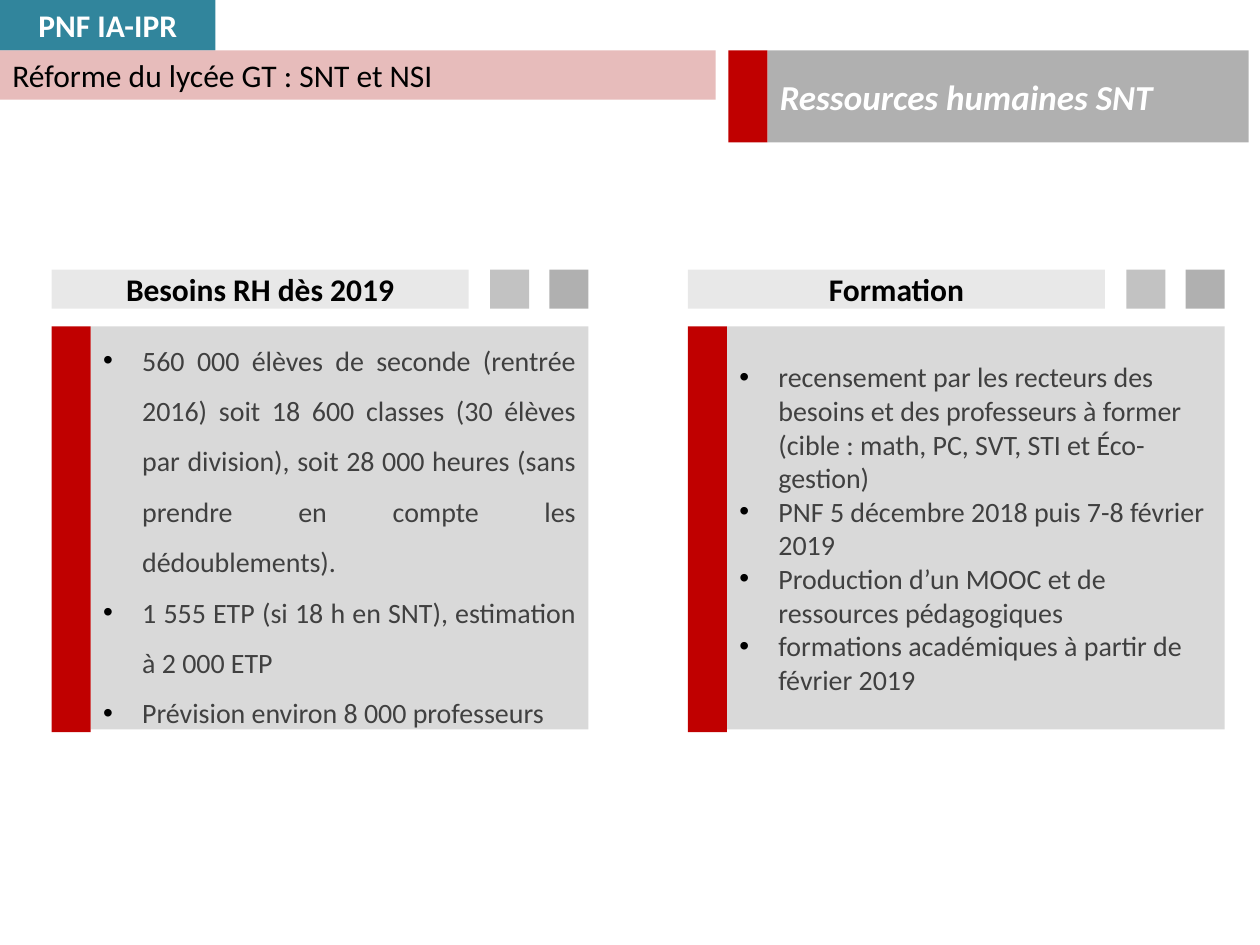
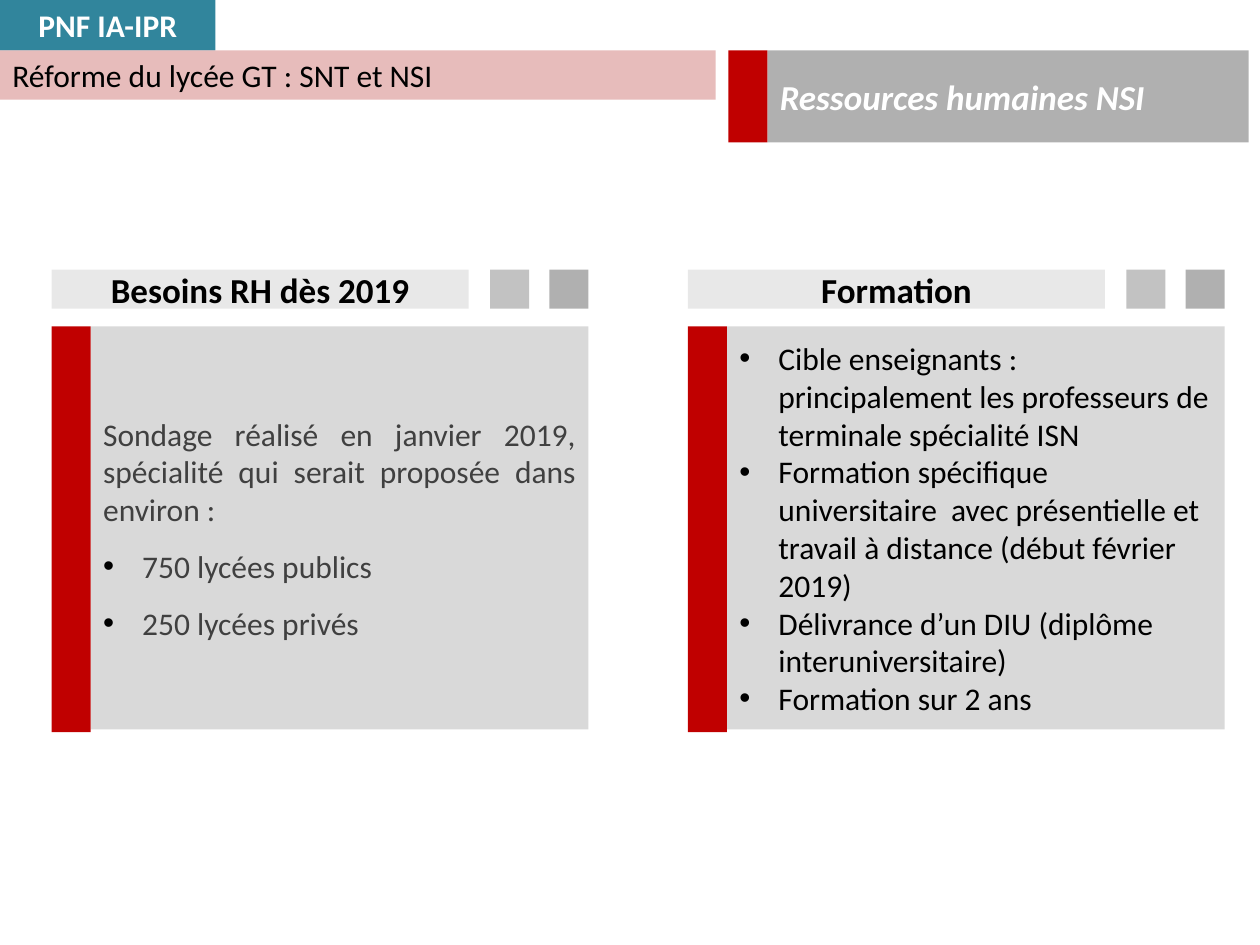
from lxml import etree
from pptx import Presentation
from pptx import util as u
from pptx.dml.color import RGBColor
from pptx.enum import shapes, text
from pptx.oxml import ns

FONT = "Calibri"
TEAL, PINK, RED = "31859C", "D99694", "C00000"
BLACK, WHITE, DARK, PANEL = "000000", "FFFFFF", "404040", "D9D9D9"
LEFT, CENTER, JUSTIFY = (text.PP_ALIGN.LEFT, text.PP_ALIGN.CENTER,
                         text.PP_ALIGN.JUSTIFY)

EVENT = "PNF IA-IPR"
SUBJECT = "Réforme du lycée GT : SNT et NSI"
NEEDS, TRAINING = "Besoins RH dès 2019", "Formation"

SLIDES = [
    {"title": "Ressources humaines SNT", "heading_size": 18, "columns": [
        {"heading": NEEDS, "size": 16, "color": DARK,
         "align": JUSTIFY, "spacing": 1.5, "bullets": [
             "560 000 élèves de seconde (rentrée 2016) soit 18 600 classes "
             "(30 élèves par division), soit 28 000 heures (sans prendre en "
             "compte les dédoublements).",
             "1 555 ETP (si 18 h en SNT), estimation à 2 000 ETP",
             "Prévision environ 8 000 professeurs"]},
        {"heading": TRAINING, "size": 16, "color": DARK, "bullets": [
            "recensement par les recteurs des besoins et des professeurs à "
            "former (cible : math, PC, SVT, STI et Éco-gestion)",
            "PNF 5 décembre 2018 puis 7-8 février 2019",
            "Production d’un MOOC et de ressources pédagogiques",
            "formations académiques à partir de février 2019"]}]},
    {"title": "Ressources humaines NSI", "heading_size": 20, "columns": [
        {"heading": NEEDS, "size": 18, "color": DARK,
         "align": JUSTIFY, "spacing": 1.5,
         "intro": "Sondage réalisé en janvier 2019, spécialité qui serait "
                  "proposée dans environ :",
         "bullets": ["750 lycées publics", "250 lycées privés"]},
        {"heading": TRAINING, "size": 18, "color": BLACK, "bullets": [
            "Cible enseignants : principalement les professeurs de terminale "
            "spécialité ISN",
            "Formation spécifique universitaire  avec présentielle et travail "
            "à distance (début février 2019)",
            "Délivrance d’un DIU (diplôme interuniversitaire)",
            "Formation sur 2 ans"]}]},
]

WIDTH, HEIGHT = 10, 7.5
BAND_TOP = 0.4
UNIT = 0.31                      # side of a square, width of a red bar, indent
COLUMN_LEFT, COLUMN_STEP, COLUMN_WIDTH = 0.41, 5.05, 4.26
HEADING_TOP, HEADING_WIDTH = 2.14, 3.31
SQUARE_STEP = 0.47
PANEL_TOP, PANEL_HEIGHT = 2.59, 3.2


def rgb(color):
    return RGBColor.from_string(color)


def add_box(page, left, top, width, height, color, opacity=100):
    box = page.shapes.add_shape(
        shapes.MSO_SHAPE.RECTANGLE,
        *(u.Inches(length) for length in (left, top, width, height)))
    box.shadow.inherit = False
    box.line.fill.background()
    box.fill.solid()
    box.fill.fore_color.rgb = rgb(color)
    if opacity < 100:
        tint = box.fill._xPr.find(".//" + ns.qn("a:srgbClr"))
        etree.SubElement(tint, ns.qn("a:alpha"), val=str(opacity * 1000))
    box.text_frame.word_wrap = True
    box.text_frame.vertical_anchor = text.MSO_ANCHOR.MIDDLE
    return box


def write(para, words, color, align=LEFT, spacing=None, **formats):
    para.alignment = align
    if spacing:
        para.line_spacing = spacing
    span = para.add_run()
    span.text = words
    span.font.color.rgb = rgb(color)
    formats = {"name": FONT, **formats, "size": u.Pt(formats["size"])}
    for name, value in formats.items():
        setattr(span.font, name, value)


def add_bullet(para):
    indent = u.Inches(UNIT)
    props = para._p.get_or_add_pPr()
    props.set("marL", str(indent))
    props.set("indent", str(-indent))
    tint = etree.SubElement(props, ns.qn("a:buClr"))
    etree.SubElement(tint, ns.qn("a:srgbClr"), val=BLACK)
    etree.SubElement(props, ns.qn("a:buFont"), typeface="Arial")
    etree.SubElement(props, ns.qn("a:buChar"), char="•")


def add_header(page, title):
    title_left, title_height = 5.78, 0.73
    bands = [
        ((title_left + UNIT, BAND_TOP, 3.82, title_height, BLACK, 31),
         title, {"color": WHITE, "size": 20, "bold": True, "italic": True}),
        ((0, 0, 1.71, BAND_TOP, TEAL),
         EVENT, {"color": WHITE, "size": 18, "bold": True, "align": CENTER}),
        ((0, BAND_TOP, 5.68, 0.39, PINK, 63),
         SUBJECT, {"color": BLACK, "size": 18}),
    ]
    for place, words, formats in bands:
        write(add_box(page, *place).text_frame.paragraphs[0], words, **formats)
    add_box(page, title_left, BAND_TOP, UNIT, title_height, RED)


def add_column(page, left, column, heading_size):
    panel = add_box(page, left + UNIT, PANEL_TOP, COLUMN_WIDTH - UNIT,
                    PANEL_HEIGHT, PANEL)
    frame = panel.text_frame
    look = {"size": column["size"], "color": column["color"],
            "align": column.get("align", LEFT)}
    para = frame.paragraphs[0]
    if "intro" in column:
        write(para, column["intro"], **look)
        para = frame.add_paragraph()
    for index, words in enumerate(column["bullets"]):
        if index:
            para = frame.add_paragraph()
        write(para, words, spacing=column.get("spacing"), **look)
        add_bullet(para)

    add_box(page, left, PANEL_TOP, UNIT, PANEL_HEIGHT + 0.02, RED)
    for place, opacity in enumerate((31, 24)):
        square_left = left + COLUMN_WIDTH - UNIT - place * SQUARE_STEP
        add_box(page, square_left, HEADING_TOP, UNIT, UNIT, BLACK, opacity)
    heading = add_box(page, left, HEADING_TOP, HEADING_WIDTH, UNIT, BLACK, 9)
    write(heading.text_frame.paragraphs[0], column["heading"], BLACK, CENTER,
          size=heading_size, bold=True)


def main():
    deck = Presentation()
    deck.slide_width, deck.slide_height = u.Inches(WIDTH), u.Inches(HEIGHT)
    for content in SLIDES:
        page = deck.slides.add_slide(deck.slide_layouts[6])
        add_header(page, content["title"])
        for index, column in enumerate(content["columns"]):
            add_column(page, COLUMN_LEFT + index * COLUMN_STEP, column,
                       content["heading_size"])
    deck.save("out.pptx")


if __name__ == "__main__":
    main()
